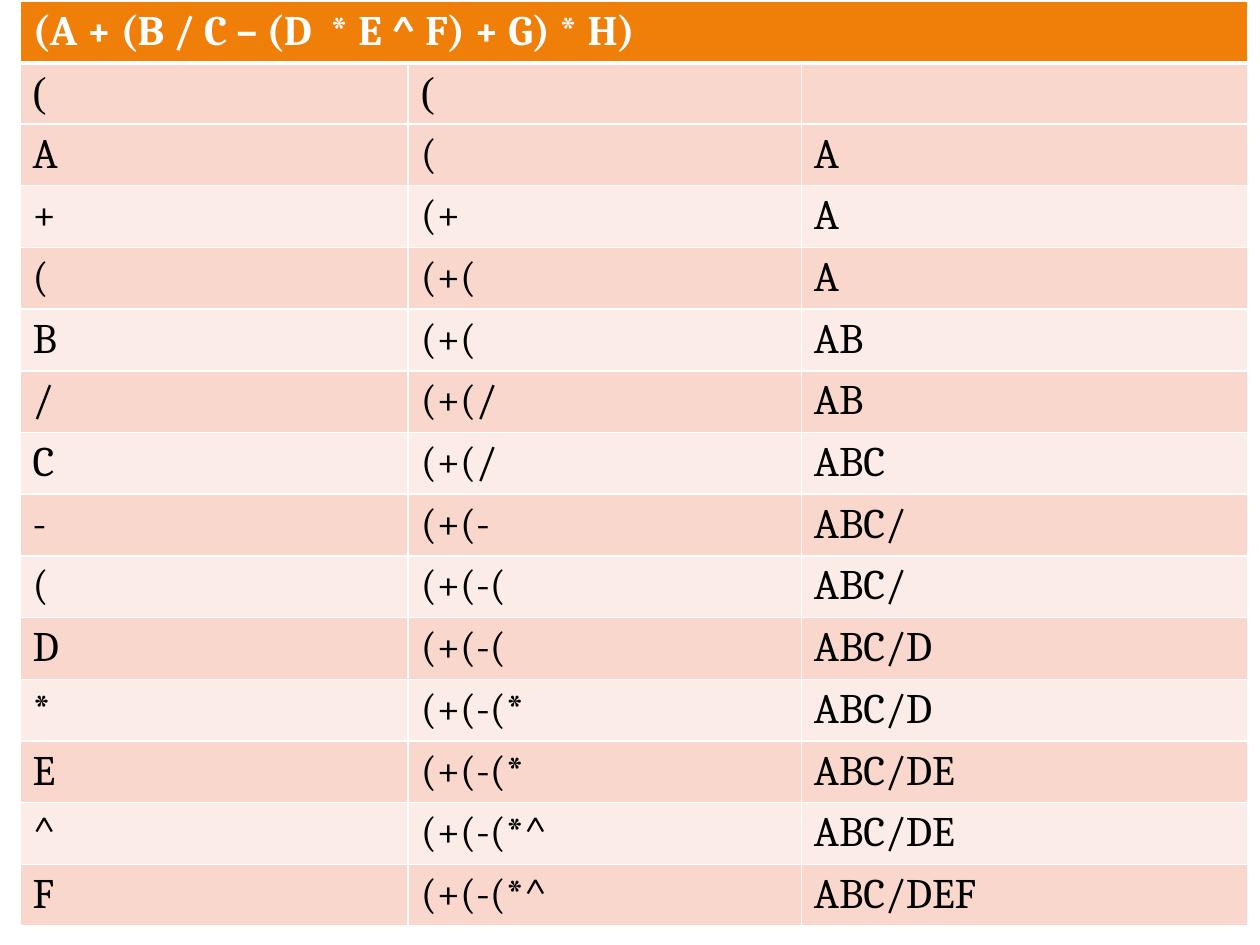
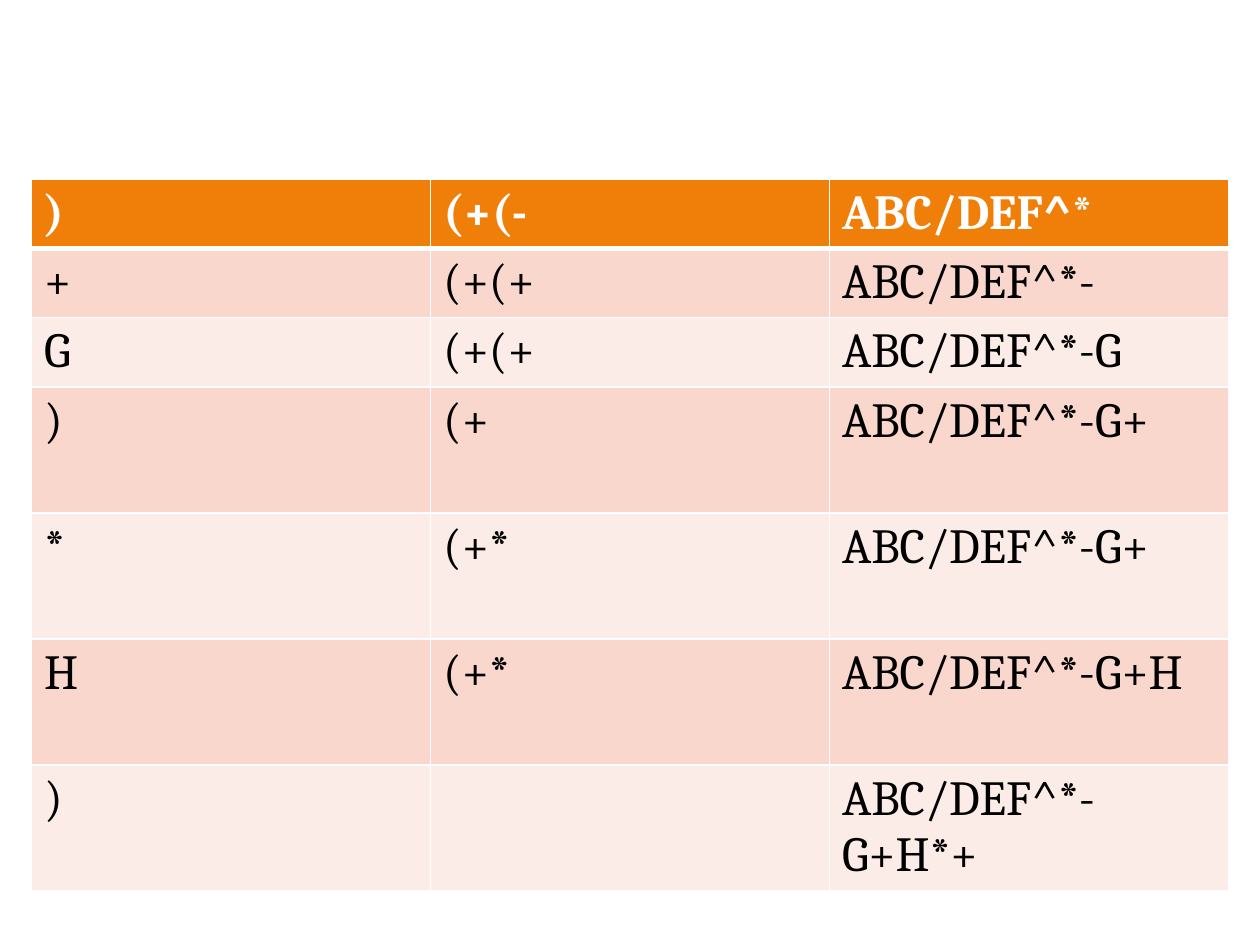
from lxml import etree
from pptx import Presentation
from pptx.dml.color import RGBColor
from pptx.oxml.ns import qn
from pptx.util import Inches, Pt

WHITE = RGBColor(0xFF, 0xFF, 0xFF)
BLACK = RGBColor(0x00, 0x00, 0x00)
ORANGE = RGBColor(0xF0, 0x7F, 0x09)
BANDS = (RGBColor(0xF9, 0xD7, 0xCC), RGBColor(0xFC, 0xEC, 0xE7))
FONT = "Cambria"
BRACKET_FONT = "Times New Roman"
THIN, THICK = Pt(0.96), Pt(3)
BLANK_LAYOUT = 6

# Each step: symbol read, operator stack, postfix output
FIRST_STEPS = [
    ("(A + (B / C – (D  * E ^ F) + G) * H)", "", ""),
    ("(", "(", ""),
    ("A", "(", "A"),
    ("+", "(+", "A"),
    ("(", "(+(", "A"),
    ("B", "(+(", "AB"),
    ("/", "(+(/", "AB"),
    ("C", "(+(/", "ABC"),
    ("-", "(+(-", "ABC/"),
    ("(", "(+(-(", "ABC/"),
    ("D", "(+(-(", "ABC/D"),
    ("*", "(+(-(*", "ABC/D"),
    ("E", "(+(-(*", "ABC/DE"),
    ("^", "(+(-(*^", "ABC/DE"),
    ("F", "(+(-(*^", "ABC/DEF"),
]
LAST_STEPS = [
    (")", "(+(-", "ABC/DEF^*"),
    ("+", "(+(+", "ABC/DEF^*-"),
    ("G", "(+(+", "ABC/DEF^*-G"),
    (")", "(+", "ABC/DEF^*-G+"),
    ("*", "(+*", "ABC/DEF^*-G+"),
    ("H", "(+*", "ABC/DEF^*-G+H"),
    (")", "", "ABC/DEF^*-G+H*+"),
]


class StepDeck:
    """Holds the table style and the current page."""

    def __init__(self):
        self.deck = Presentation()
        self.deck.slide_width = Inches(10)
        self.deck.slide_height = Inches(7.5)
        self.page = None

    def add_page(self):
        self.page = self.deck.slides.add_slide(self.deck.slide_layouts[BLANK_LAYOUT])

    def add_steps(self, steps, left, top, widths, heights, size, band_start=1):
        """Draw a step table; bands alternate from row band_start on."""
        table = self.page.shapes.add_table(
            len(steps), len(widths), Inches(left), Inches(top),
            Inches(sum(widths)), Inches(sum(heights))).table
        for column, width in zip(table.columns, widths):
            column.width = Inches(width)
        for row, height in zip(table.rows, heights):
            row.height = Inches(height)
        for row_index, step in enumerate(steps):
            is_header = row_index == 0
            band = BANDS[max(row_index - band_start, 0) % 2]
            for column_index, text in enumerate(step):
                cell = table.cell(row_index, column_index)
                self.add_borders(cell, THICK if row_index == 1 else THIN,
                                 THICK if is_header else THIN)
                cell.fill.solid()
                cell.fill.fore_color.rgb = ORANGE if is_header else band
                self.add_text(cell, text, size, is_header)
        return table

    def add_text(self, cell, text, size, is_header):
        cell.text = text
        font = cell.text_frame.paragraphs[0].font
        font.name = FONT
        font.size = Pt(size)
        font.bold = is_header
        font.color.rgb = WHITE if is_header else BLACK

    def add_borders(self, cell, top, bottom):
        properties = cell._tc.get_or_add_tcPr()
        for side, width in (("L", THIN), ("R", THIN), ("T", top), ("B", bottom)):
            line = etree.SubElement(properties, qn(f"a:ln{side}"), w=str(int(width)))
            fill = etree.SubElement(line, qn("a:solidFill"))
            etree.SubElement(fill, qn("a:srgbClr"), val=str(WHITE))


def main():
    steps = StepDeck()

    # First part of the conversion, headed by the whole expression
    steps.add_page()
    table = steps.add_steps(FIRST_STEPS, 0.16, 0.01, [3.08, 3.12, 3.54],
                            [0.49, 0.47] + [0.49] * 13, size=24, band_start=2)
    table.cell(0, 0).merge(table.cell(0, 2))
    for column in range(2):
        table.cell(1, column).text_frame.paragraphs[0].font.name = BRACKET_FONT

    # Rest of the conversion
    steps.add_page()
    steps.add_steps(LAST_STEPS, 0.25, 1.42, [9.5 / 3] * 3,
                    [0.55] * 3 + [1] * 4, size=28)

    steps.deck.save("out.pptx")


if __name__ == "__main__":
    main()
